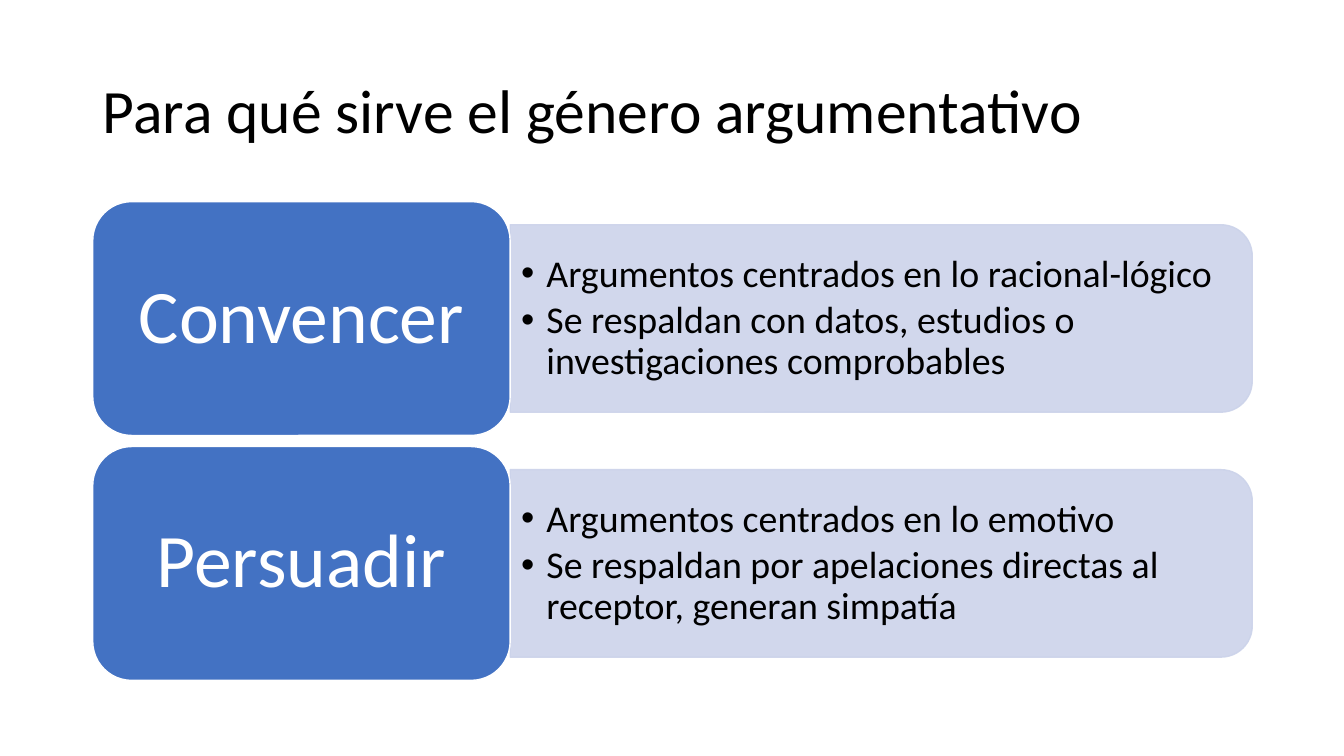
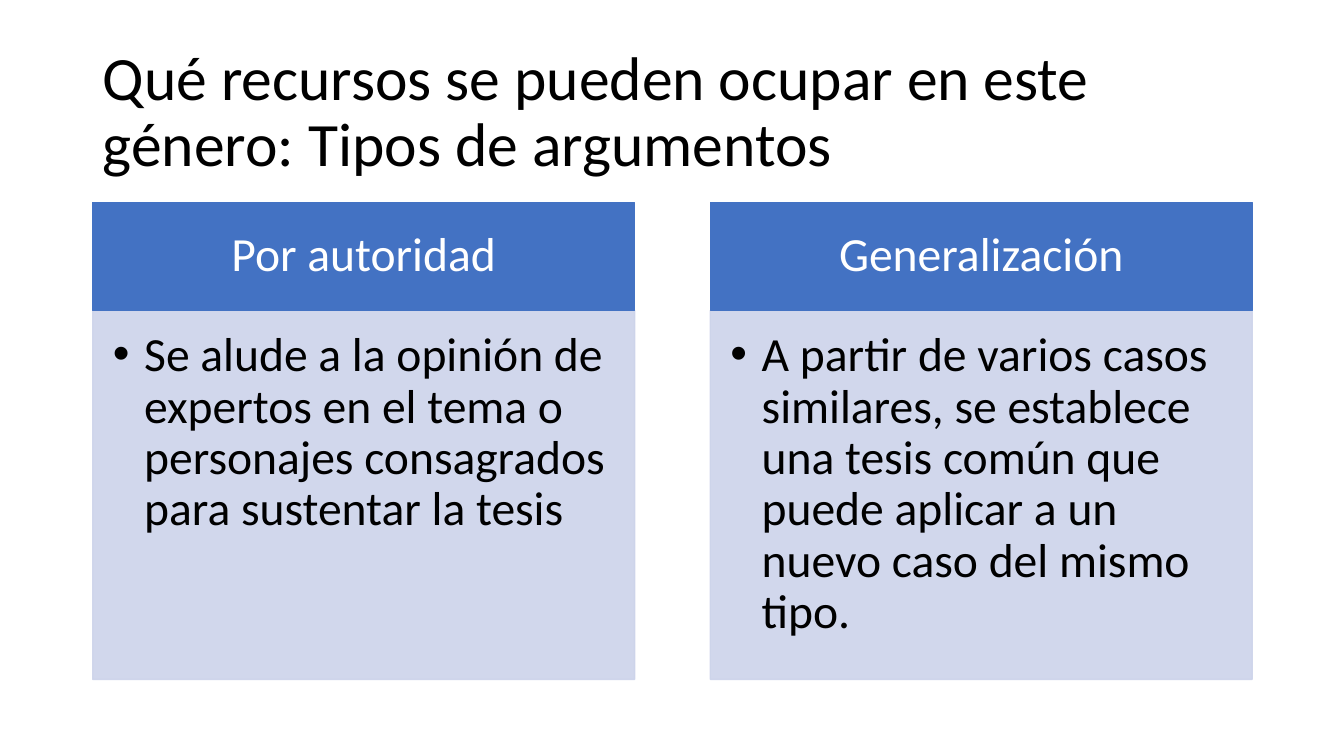
from lxml import etree
from pptx import Presentation
from pptx import util as u
from pptx.dml.color import RGBColor
from pptx.enum import shapes, text
from pptx.oxml.ns import qn

PX = 9144  # EMU per px, 100 px to the inch
FONT = "Calibri"
COLORS = {"text": "000000", "white": "FFFFFF", "blue": "4372C3", "pale": "CCD3EA"}
TITLE_BOX = (92, 40, 1150, 145)
CONTENT_BOX = (92, 200, 1150, 475)

PURPOSES = [
    ("Convencer", ["Argumentos centrados en lo racional-lógico",
                   "Se respaldan con datos, estudios o investigaciones comprobables"]),
    ("Persuadir", ["Argumentos centrados en lo emotivo",
                   "Se respaldan por apelaciones directas al receptor, generan simpatía"]),
]
ARGUMENT_TYPES = [
    ("Por autoridad", ["Se alude a la opinión de expertos en el tema o personajes "
                       "consagrados para sustentar la tesis"]),
    ("Generalización", ["A partir de varios casos similares, se establece una tesis común "
                        "que puede aplicar a un nuevo caso del mismo tipo."]),
]


def px(n):
    return u.Emu(round(n * PX))


def rgb(name):
    return RGBColor.from_string(COLORS[name])


def place(sp, box):
    sp.left, sp.top, sp.width, sp.height = map(px, box)


def paint(sp, fill, line, alpha=None):
    """Fill and outline a shape, both with the same opacity in percent."""
    sp.fill.solid()
    sp.fill.fore_color.rgb = rgb(fill)
    sp.line.color.rgb = rgb(line)
    sp.line.width = u.Pt(1)
    if alpha:
        for clr in sp.element.spPr.iter(qn("a:srgbClr")):
            etree.SubElement(clr, qn("a:alpha"), val=str(alpha * 1000))


def write(sp, lines, size, color, align, anchor, insets, indent=0, gap=0):
    """Set the paragraphs of a shape; an indent hangs the bullets."""
    tf = sp.text_frame
    tf.text = "\n".join(lines)
    tf.word_wrap = True
    tf.auto_size = text.MSO_AUTO_SIZE.NONE
    tf.vertical_anchor = anchor
    tf.margin_left, tf.margin_top, tf.margin_right, tf.margin_bottom = map(px, insets)
    for i, p in enumerate(tf.paragraphs):
        p.alignment = align
        p.line_spacing = 0.9
        p.space_before = u.Pt(gap if i else 0)
        if indent:
            pPr = p._p.get_or_add_pPr()
            pPr.set("marL", str(px(indent)))
            pPr.set("indent", str(-px(indent)))
        for r in p.runs:
            r.font.name = FONT
            r.font.size = u.Pt(size)
            r.font.color.rgb = rgb(color)


def add_shape(s, kind, box, fill, line, alpha=None):
    sp = s.shapes.add_shape(kind, *map(px, box))
    sp.shadow.inherit = False
    paint(sp, fill, line, alpha)
    return sp


def add_label(s, kind, box, label, size, line, insets):
    sp = add_shape(s, kind, box, "blue", line)
    write(sp, [label], size, "white", text.PP_ALIGN.CENTER, text.MSO_ANCHOR.MIDDLE, insets)
    return sp


def add_slide(prs, title):
    """Add a slide with its title; return it with its two list placeholders."""
    s = prs.slides.add_slide(prs.slide_layouts.get_by_name("Two Content"))
    place(s.shapes.title, TITLE_BOX)
    write(s.shapes.title, [title], 44, "text", text.PP_ALIGN.LEFT,
          text.MSO_ANCHOR.MIDDLE, (10, 5, 10, 5))
    return s, [ph for ph in s.placeholders if ph.placeholder_format.idx in (1, 2)]


def purpose_row(s, body, box, label, items):
    """Rounded label on the left, list panel on the right."""
    x, y, w, h = box
    label_w, inset = 414, 23
    panel_x, panel_y = x + label_w, y + inset
    panel_w, panel_h = w - label_w, h - 2 * inset

    # Panel: a shape with two rounded top corners, turned to the right
    turned = (panel_x + (panel_w - panel_h) / 2, panel_y + (panel_h - panel_w) / 2,
              panel_h, panel_w)
    panel = add_shape(s, shapes.MSO_SHAPE.ROUND_2_SAME_RECTANGLE, turned, "pale", "pale", 90)
    panel.rotation = 90

    # List, brought in front of the panel
    s.shapes.element.append(body.element)
    place(body, (panel_x, panel_y + 9, panel_w - 9, panel_h - 18))
    write(body, items, 27, "text", text.PP_ALIGN.LEFT, text.MSO_ANCHOR.MIDDLE,
          (11, 6, 11, 6), indent=25, gap=4)

    add_label(s, shapes.MSO_SHAPE.ROUNDED_RECTANGLE, (x, y, label_w, h), label, 54,
              "white", (22, 11, 22, 11))


def argument_column(s, body, box, label, items):
    """Header band above a filled list."""
    x, y, w, h = box
    head_h = 107
    add_label(s, shapes.MSO_SHAPE.RECTANGLE, (x, y, w, head_h), label, 34,
              "blue", (26, 15, 26, 15))
    place(body, (x, y + head_h, w, h - head_h))
    paint(body, "pale", "pale", 90)
    write(body, items, 34, "text", text.PP_ALIGN.LEFT, text.MSO_ANCHOR.TOP,
          (20, 20, 26, 30), indent=31)


def purpose_slide(prs, box):
    s, bodies = add_slide(prs, "Para qué sirve el género argumentativo")
    x, y, w, h = box
    gap = 11
    row_h = (h - gap) / 2
    for i, (body, (label, items)) in enumerate(zip(bodies, PURPOSES)):
        purpose_row(s, body, (x, y + i * (row_h + gap), w, row_h), label, items)


def argument_slide(prs, box):
    s, bodies = add_slide(prs, "Qué recursos se pueden ocupar en este género: Tipos de argumentos")
    x, y, w, h = box
    gap = 75
    col_w = (w - gap) / 2
    for i, (body, (label, items)) in enumerate(zip(bodies, ARGUMENT_TYPES)):
        argument_column(s, body, (x + i * (col_w + gap), y + 1, col_w, h - 2), label, items)


def main():
    prs = Presentation()
    prs.slide_width, prs.slide_height = px(1333), px(750)
    purpose_slide(prs, CONTENT_BOX)
    argument_slide(prs, CONTENT_BOX)
    prs.save("out.pptx")


if __name__ == "__main__":
    main()
